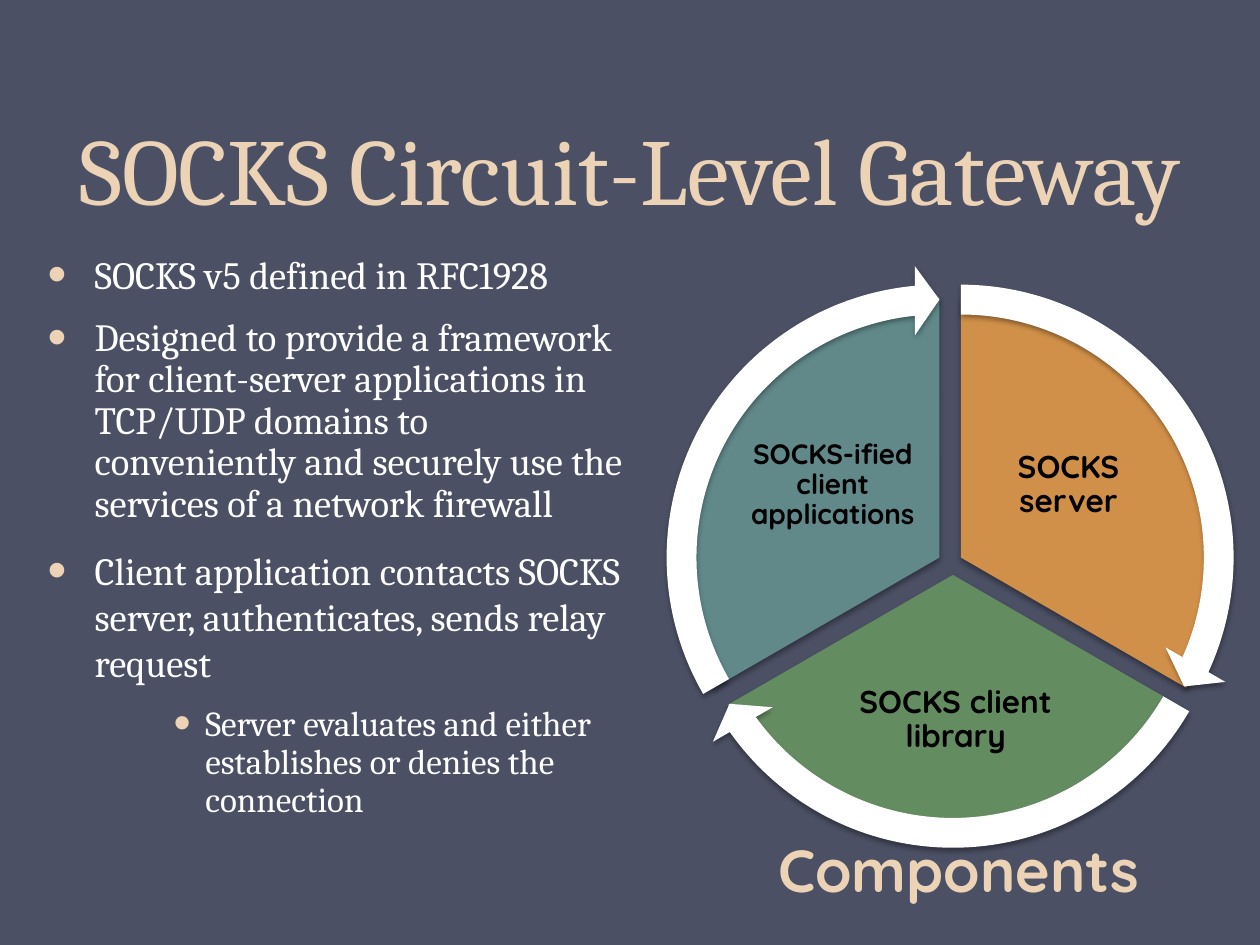
from lxml import etree
from pptx import Presentation
from pptx.dml.color import RGBColor
from pptx.enum import shapes, text
from pptx.oxml import ns
from pptx.util import Cm, Pt

COLORS = {"back": "4B5064", "sand": "EDD3B6", "white": "FFFFFF", "black": "000000",
          "orange": "D19049", "green": "648C61", "teal": "61898A"}
SERIF, ROUND = "Cambria", "Quicksand"

TITLE = "SOCKS Circuit-Level Gateway"
CAPTION = "Components"
# text, size, line spacing, text indent, bullet hang (cm), space after (pt)
BULLETS = [
    ("SOCKS v5 defined in RFC1928", 22, 1.0, 0.95, 0.95, 12),
    ("Designed to provide a framework for client-server applications in TCP/UDP domains "
     "to conveniently and securely use the services of a network firewall",
     22, 0.9, 0.95, 0.95, 12),
    ("Client application contacts SOCKS server, authenticates, sends relay request",
     22, 1.0, 0.95, 0.95, 12),
    ("Server evaluates and either establishes or denies the connection",
     20, 0.9, 3.18, 0.64, 0),
]
# label, size, colour, start and end in degrees, centre, label box (cm)
SECTORS = [
    ("SOCKS server", 18, "orange", 270, 30, (19.37, 11.24), (19.66, 8.23, 3.76, 3.12)),
    ("SOCKS client library", 18, "green", 30, 150, (19.21, 11.59), (16.46, 13.16, 5.61, 2.74)),
    ("SOCKS-ified client applications", 16, "teal", 150, 270, (18.94, 11.24),
     (14.91, 8.23, 3.76, 3.12)),
]
PIE_SIZE, ARROW_SIZE = 10.49, 11.79
PER_DEGREE = 0.6  # adjustment units in one degree
HEAD_ANGLE = 3.275  # adjustment units covered by an arrowhead


def rgb(name):
    return RGBColor.from_string(COLORS[name])


def add_box(page, place, anchor=text.MSO_ANCHOR.TOP, inset=None):
    box = page.shapes.add_textbox(*map(Cm, place))
    frame = box.text_frame
    frame.word_wrap = True
    frame.vertical_anchor = anchor
    if inset is not None:
        frame.margin_left = frame.margin_right = Cm(inset)
        frame.margin_top = frame.margin_bottom = Cm(inset)
    return frame


def write(para, words, size, font, color, spacing, align=text.PP_ALIGN.LEFT, bold=False):
    para.text = words
    para.alignment = align
    para.line_spacing = spacing
    para.font.size = Pt(size)
    para.font.name = font
    para.font.bold = bold
    para.font.color.rgb = rgb(color)


def add_bullet(para, indent, hang):
    props = para._p.get_or_add_pPr()
    props.set("marL", str(Cm(indent)))
    props.set("indent", str(-Cm(hang)))
    color = etree.SubElement(props, ns.qn("a:buClr"))
    etree.SubElement(color, ns.qn("a:srgbClr"), val=COLORS["sand"])
    etree.SubElement(props, ns.qn("a:buSzPct"), val="140000")
    etree.SubElement(props, ns.qn("a:buFont"), typeface="Arial")
    etree.SubElement(props, ns.qn("a:buChar"), char="•")


def add_round(page, kind, centre, size, color, adjustments):
    """Add a filled shape in a square around its centre, with a soft shadow below."""
    left, top = (middle - size / 2 for middle in centre)
    shape = page.shapes.add_shape(kind, Cm(left), Cm(top), Cm(size), Cm(size))
    for index, value in enumerate(adjustments):
        shape.adjustments[index] = value
    shape.fill.solid()
    shape.fill.fore_color.rgb = rgb(color)
    shape.line.fill.background()
    shape.shadow.inherit = False
    effects = shape._element.spPr.find(ns.qn("a:effectLst"))
    shadow = etree.SubElement(effects, ns.qn("a:outerShdw"), blurRad=str(Pt(3.1)),
                              dist=str(Pt(1.8)), dir="5400000", rotWithShape="0")
    tint = etree.SubElement(shadow, ns.qn("a:srgbClr"), val=COLORS["black"])
    etree.SubElement(tint, ns.qn("a:alpha"), val="35000")


def add_wheel(page):
    for label, size, color, start, end, centre, place in SECTORS:
        add_round(page, shapes.MSO_SHAPE.PIE, centre, PIE_SIZE, color,
                  (end * PER_DEGREE, start * PER_DEGREE)[::-1])
        frame = add_box(page, place, text.MSO_ANCHOR.MIDDLE, 0.06)
        write(frame.paragraphs[0], label, size, ROUND, "black", 0.9,
              text.PP_ALIGN.CENTER, True)
    for _, _, _, start, end, centre, _ in SECTORS:
        add_round(page, shapes.MSO_SHAPE.CIRCULAR_ARROW, centre, ARROW_SIZE, "white",
                  (0.051, HEAD_ANGLE, end * PER_DEGREE - HEAD_ANGLE,
                   start * PER_DEGREE, 0.059))


def main():
    deck = Presentation()
    deck.slide_width, deck.slide_height = Cm(25.4), Cm(19.05)
    page = deck.slides.add_slide(deck.slide_layouts[6])
    page.background.fill.solid()
    page.background.fill.fore_color.rgb = rgb("back")

    frame = add_box(page, (1.27, 0.2, 22.86, 4.45), text.MSO_ANCHOR.BOTTOM)
    write(frame.paragraphs[0], TITLE, 54, SERIF, "sand", Pt(58), text.PP_ALIGN.CENTER)

    frame = add_box(page, (0.71, 4.93, 12.27, 13.54))
    for index, (words, size, spacing, indent, hang, after) in enumerate(BULLETS):
        para = frame.add_paragraph() if index else frame.paragraphs[0]
        add_bullet(para, indent, hang)
        write(para, words, size, SERIF, "white", spacing)
        para.space_after = Pt(after)

    add_wheel(page)
    frame = add_box(page, (15.44, 16.94, 9.96, 1.47))
    write(frame.paragraphs[0], CAPTION, 34, ROUND, "sand", 0.8, bold=True)
    deck.save("out.pptx")


if __name__ == "__main__":
    main()
